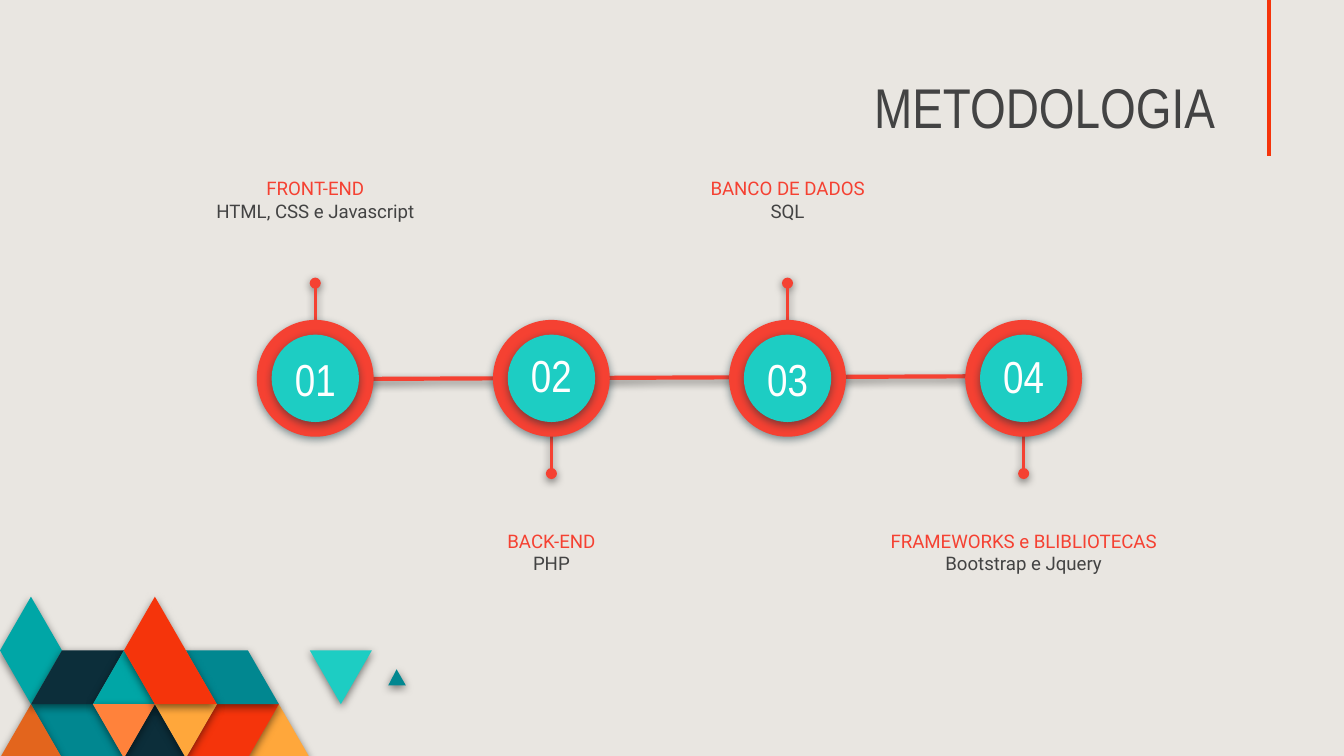
from lxml.etree import SubElement
from pptx import Presentation
from pptx.dml.color import RGBColor
from pptx.enum.shapes import MSO_CONNECTOR as Connector, MSO_SHAPE as Shape
from pptx.enum.text import MSO_ANCHOR as Anchor, PP_ALIGN as Align
from pptx.oxml.ns import qn
from pptx.util import Pt

RED, ORANGE_RED, TURQUOISE = "F54132", "F5340B", "1DCDC3"
TEAL, DEEP_TEAL, NAVY, AMBER = "00A6A6", "018790", "0C2E3A", "FFA73B"
GREY, WHITE, BLACK = "434343", "FFFFFF", "000000"


def rgb(value):
    return RGBColor.from_string(value)


def set_effect(shape, shadow=None):
    """Give the shape a soft shadow straight below it, or no effect at all."""
    effects = SubElement(shape._element.spPr, qn("a:effectLst"))
    if shadow:
        outer = SubElement(effects, qn("a:outerShdw"), blurRad=str(Pt(4.5)),
                           dist=str(Pt(1.5)), dir="5400000", algn="bl", rotWithShape="0")
        color = SubElement(outer, qn("a:srgbClr"), val=shadow)
        SubElement(color, qn("a:alpha"), val="50000")


deck = Presentation()
deck.slide_width, deck.slide_height = Pt(720), Pt(405)
slide = deck.slides.add_slide(deck.slide_layouts[6])
slide.background.fill.solid()
slide.background.fill.fore_color.rgb = rgb("E9E6E1")
shapes = slide.shapes

# Mosaic: corners as (column, row) on a triangular grid
COLUMN, ROW, MOSAIC_TOP = 16.6, 28.8, 319.7
tiles = [
    (AMBER, [(10, 3), (9, 2), (8, 3)]),
    (ORANGE_RED, [(9, 2), (7, 2), (6, 3), (8, 3)]),
    (DEEP_TEAL, [(4, 3), (3, 2), (1, 2), (2, 3)]),
    ("E3651D", [(2, 3), (1, 2), (0, 3)]),
    (NAVY, [(6, 3), (5, 2), (4, 3)]),
    (DEEP_TEAL, [(9, 2), (8, 1), (6, 1), (7, 2)]),
    (DEEP_TEAL, [(13.1, 1.65), (12.8, 1.35), (12.53, 1.65)]),
    (TURQUOISE, [(12, 1), (10, 1), (11, 2)]),
    (TEAL, [(2, 1), (1, 0), (0, 1), (1, 2)]),
    (NAVY, [(4, 1), (2, 1), (1, 2), (3, 2)]),
    (TEAL, [(5, 2), (4, 1), (3, 2)]),
    ("FF823B", [(5, 2), (3, 2), (4, 3)]),
    (AMBER, [(7, 2), (5, 2), (6, 3)]),
    (ORANGE_RED, [(7, 2), (5, 0), (4, 1), (5, 2)]),
]
for color, corners in tiles:
    points = [(Pt(column * COLUMN), Pt(MOSAIC_TOP + row * ROW)) for column, row in corners]
    builder = shapes.build_freeform(*points[0])
    builder.add_line_segments(points[1:], close=True)
    tile = builder.convert_to_shape()
    tile.fill.solid()
    tile.fill.fore_color.rgb = rgb(color)
    tile.line.fill.background()
    set_effect(tile, BLACK)

# Timeline: centres, ring and disc sizes
FIRST_X, PITCH, CENTER_Y = 168.9, 126.5, 202.7
RING, DISC = 62.6, 46.8
steps = [
    ("01", 175.7, "FRONT-END", "HTML, CSS e Javascript", 162),
    ("02", 173.5, "BACK-END", "PHP", 186.5),
    ("03", 175.7, "BANCO DE DADOS", "SQL", 159),
    ("04", 174.2, "FRAMEWORKS e BLIBLIOTECAS", "Bootstrap e Jquery", 196.5),
]
centers = [FIRST_X + PITCH * index for index in range(len(steps))]

# Lines: start, end, colour, width, shadow, round end
lines = [
    (679.7, 0, 679.7, 83.5, ORANGE_RED, 2.25, None, False),
    (197.3, 203, 519.8, 201.6, RED, 2.25, BLACK, False),
]
for index, x in enumerate(centers):
    side = 1 if index % 2 else -1
    lines.append((x, CENTER_Y + side * DISC / 2, x, CENTER_Y + side * 51,
                  RED, 1.5, BLACK, True))
for x1, y1, x2, y2, color, width, shadow, dotted in lines:
    line = shapes.add_connector(Connector.STRAIGHT, Pt(x1), Pt(y1), Pt(x2), Pt(y2))
    line.line.color.rgb = rgb(color)
    line.line.width = Pt(width)
    if dotted:
        SubElement(line._element.spPr.find(qn("a:ln")), qn("a:tailEnd"), type="oval")
    set_effect(line, shadow)

for x in centers:
    for size, color in [(RING, RED), (DISC, TURQUOISE)]:
        circle = shapes.add_shape(Shape.OVAL, Pt(x - size / 2), Pt(CENTER_Y - size / 2),
                                  Pt(size), Pt(size))
        circle.fill.solid()
        circle.fill.fore_color.rgb = rgb(color)
        circle.line.fill.background()
        set_effect(circle, NAVY)

# Texts: left, top, width, height, anchor, alignment, font, size, (line, colour) pairs
texts = [(20.9, 36.7, 637.2, 45.4, Anchor.BOTTOM, Align.RIGHT, "Arial Narrow", 30,
          [("METODOLOGIA", GREY)])]
for index, (number, top, heading, detail, width) in enumerate(steps):
    x = centers[index]
    texts.append((x - 28, top, 56, 54, Anchor.MIDDLE, Align.CENTER, "Arial Narrow", 24,
                  [(number, WHITE)]))
    texts.append((x - width / 2, 276.5 if index % 2 else 87.8, width, 54, Anchor.TOP,
                  Align.CENTER, "Roboto", 10, [(heading, RED), (detail, GREY)]))
for left, top, width, height, anchor, align, font, size, parts in texts:
    box = shapes.add_textbox(Pt(left), Pt(top), Pt(width), Pt(height))
    frame = box.text_frame
    frame.word_wrap = True
    frame.vertical_anchor = anchor
    frame.margin_left = frame.margin_right = Pt(7.2)
    frame.margin_top = frame.margin_bottom = Pt(7.2)
    para = frame.paragraphs[0]
    para.alignment = align
    for position, (words, color) in enumerate(parts):
        if position:
            para.add_line_break()
        span = para.add_run()
        span.text = words
        span.font.name = font
        span.font.size = Pt(size)
        span.font.color.rgb = rgb(color)

deck.save("out.pptx")
